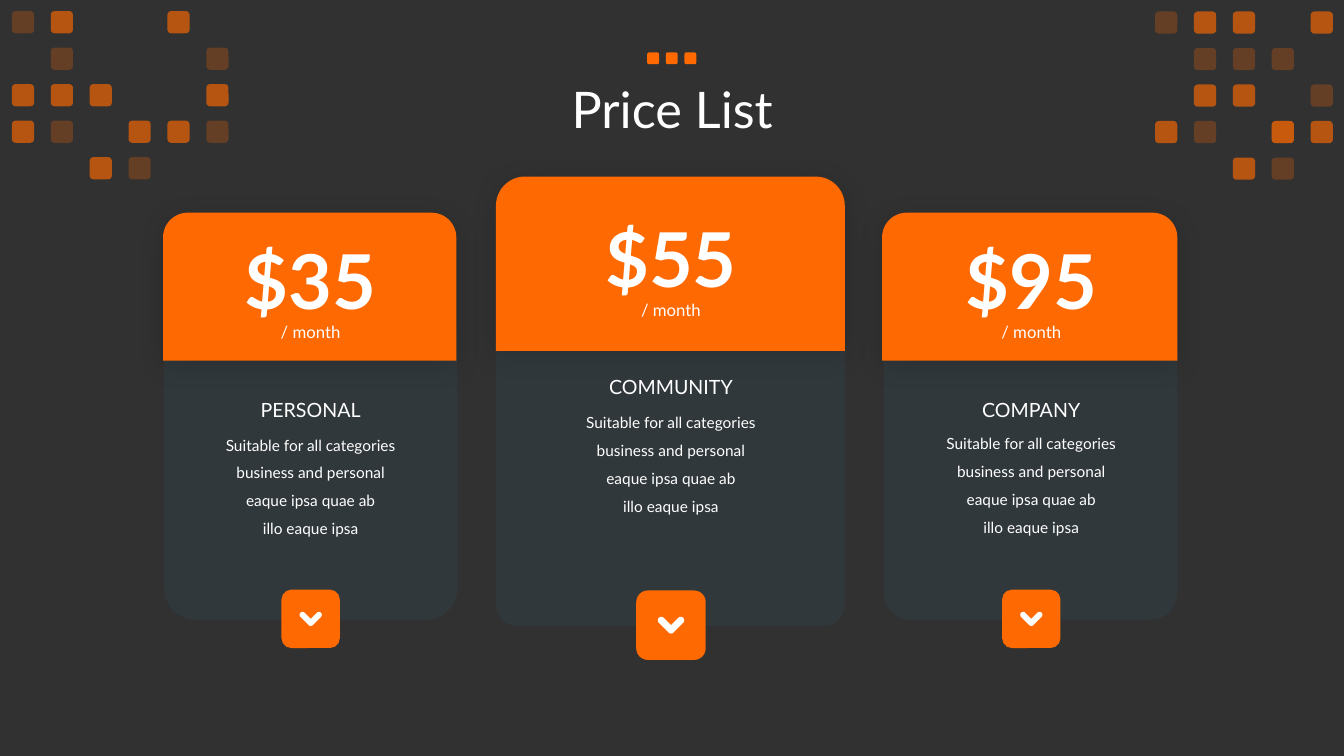
import dataclasses
import math

import lxml.etree
import pptx
import pptx.dml.color
import pptx.enum.shapes
import pptx.enum.text
import pptx.oxml.ns
import pptx.util

Cm = pptx.util.Cm
Pt = pptx.util.Pt
SHAPE = pptx.enum.shapes.MSO_SHAPE
ANCHOR = pptx.enum.text.MSO_ANCHOR
qn = pptx.oxml.ns.qn


@dataclasses.dataclass(frozen=True)
class Theme:
    font: str = "Lato"
    background: str = "313131"
    accent: str = "FE6902"
    panel: str = "313C41"
    text: str = "FFFFFF"
    shadow: str = "000000"
    title_size: int = 36
    price_size: int = 54
    period_size: int = 12
    plan_size: int = 14
    detail_size: int = 11


theme = Theme()


def paint(shape, color, opacity=100):
    """Flat fill with no outline and no shadow."""
    shape.shadow.inherit = False
    shape.line.fill.background()
    shape.fill.solid()
    shape.fill.fore_color.rgb = pptx.dml.color.RGBColor.from_string(color)
    if opacity < 100:
        color_xml = shape._element.spPr.find(".//" + qn("a:srgbClr"))
        lxml.etree.SubElement(color_xml, qn("a:alpha"), val=str(opacity * 1000))


def add_text(middle, top, width, height, lines, size, spacing=1.0, bold=False, anchor=ANCHOR.TOP):
    """Centred text box placed around a vertical middle line."""
    box = slide.shapes.add_textbox(Cm(middle - width / 2), Cm(top), Cm(width), Cm(height))
    frame = box.text_frame
    frame.word_wrap = True
    frame.vertical_anchor = anchor
    for index, line in enumerate(lines):
        paragraph = frame.paragraphs[0] if index == 0 else frame.add_paragraph()
        paragraph.alignment = pptx.enum.text.PP_ALIGN.CENTER
        paragraph.line_spacing = spacing
        run = paragraph.add_run()
        run.text = line
        run.font.name = theme.font
        run.font.size = Pt(size)
        run.font.bold = bold
        run.font.color.rgb = pptx.dml.color.RGBColor.from_string(theme.text)


presentation = pptx.Presentation()
presentation.slide_width = Cm(33.87)
presentation.slide_height = Cm(19.05)
slide = presentation.slides.add_slide(presentation.slide_layouts[6])
slide.background.fill.solid()
slide.background.fill.fore_color.rgb = pptx.dml.color.RGBColor.from_string(theme.background)

# Title
add_text(16.94, 0.99, 29.21, 3.68, ["Price List"], theme.title_size, 0.9, anchor=ANCHOR.MIDDLE)

# Price cards: body and header are (left, top, width, height) in cm
cards = [
    dict(plan="PERSONAL", price="$35", body=(4.14, 7.82, 7.39, 7.8), corner=0.107,
         header=(4.11, 5.36, 7.39, 3.73), middle=7.83, price_top=5.77,
         plan_top=9.91, detail_top=10.62, button_top=14.86, button=1.47),
    dict(plan="COMMUNITY", price="$55", body=(12.5, 6.55, 8.79, 9.22), corner=0.059,
         header=(12.5, 4.45, 8.79, 4.39), middle=16.91, price_top=5.21,
         plan_top=9.32, detail_top=10.06, button_top=14.88, button=1.75),
    dict(plan="COMPANY", price="$95", body=(22.28, 7.82, 7.39, 7.8), corner=0.091,
         header=(22.23, 5.36, 7.44, 3.73), middle=25.99, price_top=5.77,
         plan_top=9.91, detail_top=10.59, button_top=14.86, button=1.47),
]
details = ["Suitable for all categories business and personal", "eaque ipsa quae ab", "illo eaque ipsa"]

for card in cards:
    middle = card["middle"]

    # Body and header
    body = slide.shapes.add_shape(SHAPE.ROUNDED_RECTANGLE, *map(Cm, card["body"]))
    body.adjustments[0] = card["corner"]
    paint(body, theme.panel, 65)
    header = slide.shapes.add_shape(SHAPE.ROUND_2_SAME_RECTANGLE, *map(Cm, card["header"]))
    paint(header, theme.accent)
    shadow = lxml.etree.SubElement(
        header._element.spPr.find(qn("a:effectLst")), qn("a:outerShdw"),
        blurRad=str(Pt(19)), dist=str(Pt(4)), dir="5400000", algn="t", rotWithShape="0")
    shadow_color = lxml.etree.SubElement(shadow, qn("a:srgbClr"), val=theme.shadow)
    lxml.etree.SubElement(shadow_color, qn("a:alpha"), val="15000")

    # Wording
    add_text(middle, card["price_top"], 4.3, 2.57, [card["price"]], theme.price_size, bold=True)
    add_text(middle, card["price_top"] + 1.97, 2.8, 0.91, ["/ month"], theme.period_size, 1.5)
    add_text(middle, card["detail_top"], 5.36, 3.0, details, theme.detail_size, 1.5)
    add_text(middle, card["plan_top"], 4.88, 0.86, [card["plan"]], theme.plan_size)

    # Button
    size = card["button"]
    button = slide.shapes.add_shape(SHAPE.ROUNDED_RECTANGLE, Cm(middle - size / 2),
                                    Cm(card["button_top"]), Cm(size), Cm(size))
    paint(button, theme.accent)

    # Chevron: a V of constant thickness with round ends and a round tip
    arm, radius = 0.14 * size, 0.05 * size
    tip_y = card["button_top"] + 0.57 * size
    outline = [(middle, tip_y - radius * math.sqrt(2))]
    for dx, dy, start, stop in [(arm, -arm, -135, 45), (0, 0, 45, 135), (-arm, -arm, 135, 315)]:
        for degrees in range(start, stop + 1, 15):
            angle = math.radians(degrees)
            outline.append((middle + dx + radius * math.cos(angle),
                            tip_y + dy + radius * math.sin(angle)))
    points = [(Cm(x), Cm(y)) for x, y in outline]
    builder = slide.shapes.build_freeform(*points[0])
    builder.add_line_segments(points[1:], close=True)
    paint(builder.convert_to_shape(), theme.text)

# Square patterns: o faint, O strong, B strong with faint on top
opacities = {".": [], "o": [25], "O": [65], "B": [65, 25]}
patterns = [
    (0.3, 0.28, ["oO..O.", ".o...o", "OOO..O", "Oo.OOo", "..Oo.."]),
    (29.11, 0.29, ["oOO.O", ".ooo.", ".OO.o", "Oo.BO", "..Oo."]),
]
for left, top, rows in patterns:
    pattern = slide.shapes.add_group_shape()
    for row, marks in enumerate(rows):
        for column, mark in enumerate(marks):
            for opacity in opacities[mark]:
                square = pattern.shapes.add_shape(
                    SHAPE.ROUNDED_RECTANGLE, Cm(left + 0.98 * column), Cm(top + 0.92 * row),
                    Cm(0.56), Cm(0.56))
                paint(square, theme.accent, opacity)

# Three squares above the title
title_mark = slide.shapes.add_group_shape()
for index in range(3):
    square = title_mark.shapes.add_shape(
        SHAPE.ROUNDED_RECTANGLE, Cm(16.31 + 0.47 * index), Cm(1.32), Cm(0.3), Cm(0.3))
    paint(square, theme.accent)

presentation.save("out.pptx")
